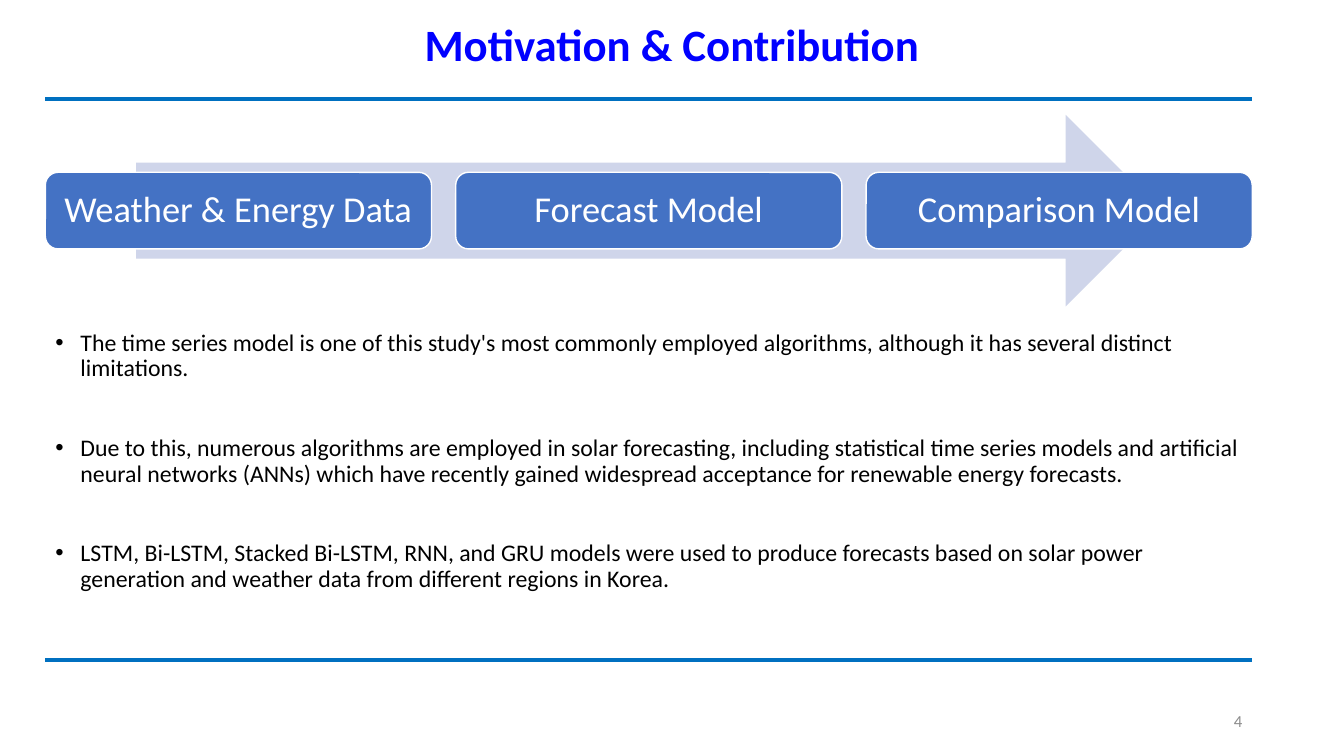
from lxml import etree
from pptx import Presentation
from pptx.dml.color import RGBColor
from pptx.enum.shapes import MSO_CONNECTOR, MSO_SHAPE
from pptx.enum.text import MSO_ANCHOR, PP_ALIGN
from pptx.oxml.ns import qn
from pptx.util import Inches, Pt

BLACK = RGBColor(0x00, 0x00, 0x00)
WHITE = RGBColor(0xFF, 0xFF, 0xFF)
GREY = RGBColor(0x8C, 0x8C, 0x8C)
TITLE_BLUE = RGBColor(0x00, 0x00, 0xFF)
RULE_BLUE = RGBColor(0x00, 0x70, 0xC0)
STEP_BLUE = RGBColor(0x44, 0x72, 0xC4)
ARROW_BLUE = RGBColor(0xCF, 0xD5, 0xEA)

LEFT, RIGHT = 0.45, 12.42
STEP_WIDTH, STEP_PITCH = 3.83, 4.07

STEPS = ["Weather & Energy Data", "Forecast Model", "Comparison Model"]
POINTS = [
    "The time series model is one of this study's most commonly employed "
    "algorithms, although it has several distinct limitations.",
    "Due to this, numerous algorithms are employed in solar forecasting, "
    "including statistical time series models and artificial neural networks "
    "(ANNs) which have recently gained widespread acceptance for renewable "
    "energy forecasts.",
    "LSTM, Bi-LSTM, Stacked Bi-LSTM, RNN, and GRU models were used to produce "
    "forecasts based on solar power generation and weather data from different "
    "regions in Korea.",
]


def add_bullet(paragraph):
    properties = paragraph._p.get_or_add_pPr()
    properties.set("marL", str(Inches(0.25)))
    properties.set("indent", str(-Inches(0.25)))
    etree.SubElement(properties, qn("a:buFont")).set("typeface", "Arial")
    etree.SubElement(properties, qn("a:buChar")).set("char", "•")


def write(shape, *texts, size, color, bold=False, align=PP_ALIGN.LEFT,
          anchor=MSO_ANCHOR.MIDDLE, line_spacing=1.0, gap=0, bullets=False):
    """Fill a shape with one paragraph per text, gap points apart."""
    frame = shape.text_frame
    frame.word_wrap = True
    frame.vertical_anchor = anchor
    for index, text in enumerate(texts):
        paragraph = frame.add_paragraph() if index else frame.paragraphs[0]
        paragraph.text = text
        paragraph.alignment = align
        paragraph.line_spacing = line_spacing
        if index:
            paragraph.space_before = Pt(gap)
        if bullets:
            add_bullet(paragraph)
        font = paragraph.font
        font.name, font.size, font.bold = "Calibri", Pt(size), bold
        font.color.rgb = color


def add_text(slide, left, top, width, height, *texts, **text_format):
    box = slide.shapes.add_textbox(
        Inches(left), Inches(top), Inches(width), Inches(height))
    write(box, *texts, **text_format)


def add_filled(slide, kind, left, top, width, height, fill):
    shape = slide.shapes.add_shape(
        kind, Inches(left), Inches(top), Inches(width), Inches(height))
    shape.shadow.inherit = False
    shape.fill.solid()
    shape.fill.fore_color.rgb = fill
    shape.line.fill.background()
    return shape


def add_step(slide, left, label):
    step = add_filled(slide, MSO_SHAPE.ROUNDED_RECTANGLE,
                      left, 1.71, STEP_WIDTH, 0.76, STEP_BLUE)
    step.line.color.rgb = WHITE
    step.line.width = Pt(1)
    write(step, label, size=26, color=WHITE, align=PP_ALIGN.CENTER,
          line_spacing=0.9)


def add_rule(slide, top):
    rule = slide.shapes.add_connector(
        MSO_CONNECTOR.STRAIGHT,
        Inches(LEFT), Inches(top), Inches(RIGHT), Inches(top))
    rule.line.color.rgb = RULE_BLUE
    rule.line.width = Pt(3)
    etree.SubElement(rule._element.spPr, qn("a:effectLst"))


def main():
    deck = Presentation()
    deck.slide_width, deck.slide_height = Inches(13.33), Inches(7.5)
    slide = deck.slides.add_slide(deck.slide_layouts[6])

    add_text(slide, 1.04, 0.04, 11.25, 0.79, "Motivation & Contribution",
             size=32, color=TITLE_BLUE, bold=True, align=PP_ALIGN.CENTER)
    for top in (0.98, 6.55):
        add_rule(slide, top)

    add_filled(slide, MSO_SHAPE.RIGHT_ARROW, 1.35, 1.14, 10.17, 1.9, ARROW_BLUE)
    for index, label in enumerate(STEPS):
        add_step(slide, LEFT + index * STEP_PITCH, label)

    add_text(slide, LEFT, 3.23, RIGHT - LEFT, 3.29, *POINTS,
             size=17, color=BLACK, anchor=MSO_ANCHOR.TOP,
             line_spacing=0.9, gap=38.5, bullets=True)
    add_text(slide, 9.42, 6.95, 3, 0.4, "4",
             size=12, color=GREY, align=PP_ALIGN.RIGHT)

    deck.save("out.pptx")


if __name__ == "__main__":
    main()
